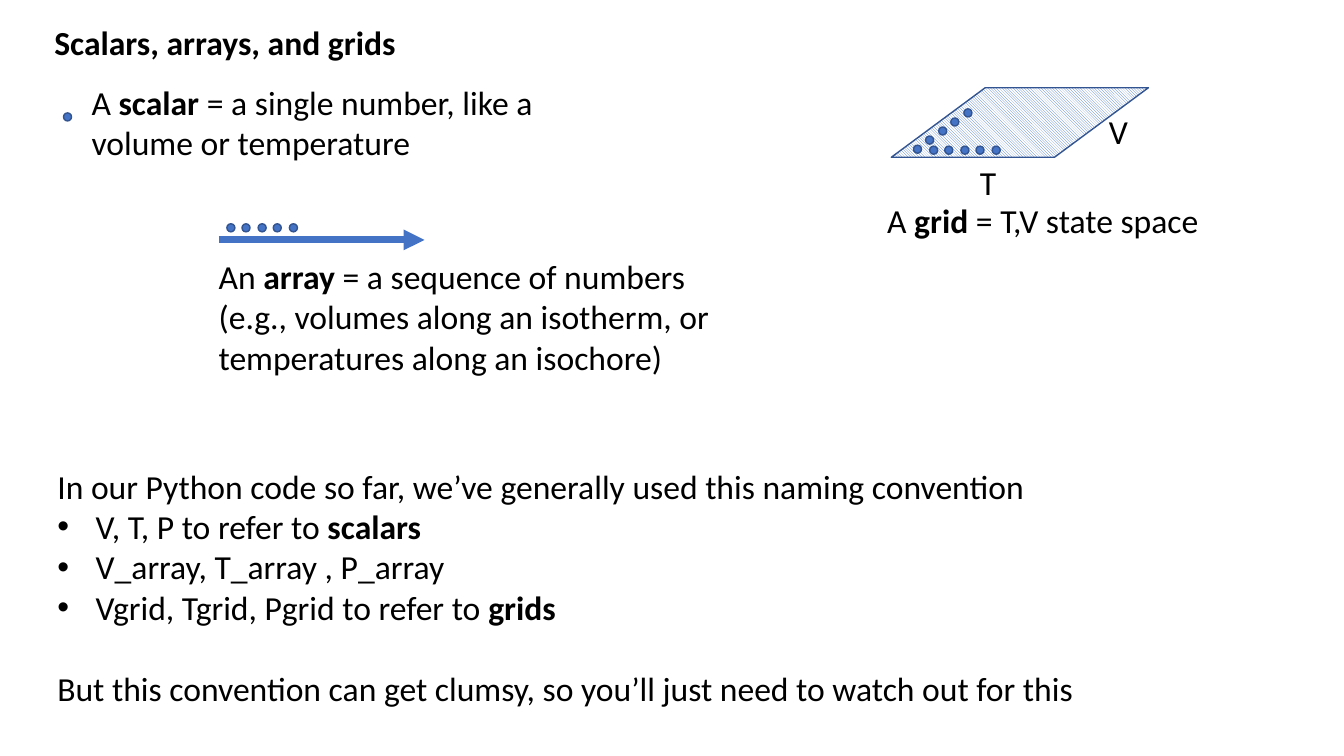
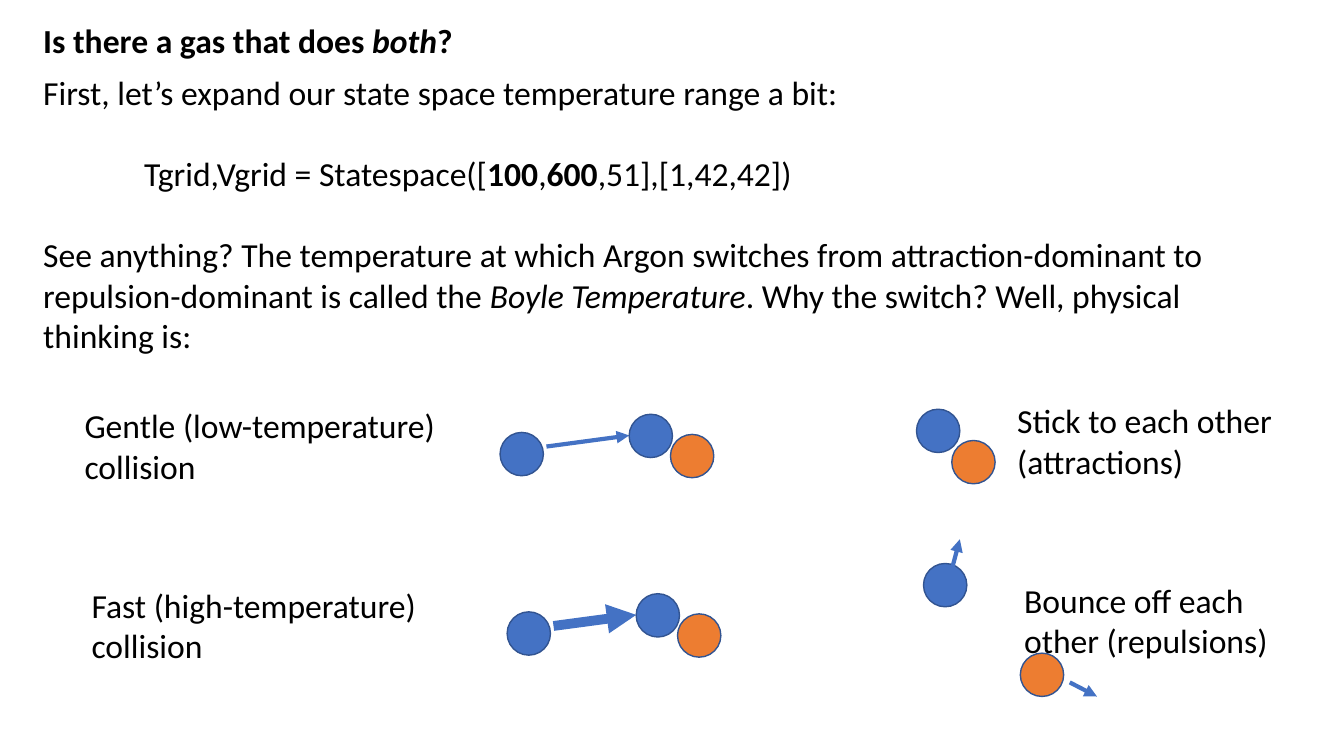
from lxml.etree import SubElement as Sub
from pptx import Presentation
from pptx.dml.color import RGBColor as Rgb
from pptx.enum.dml import MSO_PATTERN as Pat
from pptx.enum.shapes import MSO_CONNECTOR as Con, MSO_SHAPE as Kind
from pptx.enum.text import MSO_AUTO_SIZE as Fit, PP_ALIGN as Align
from pptx.oxml.ns import qn
from pptx.util import Pt

BLUE, ORANGE, EDGE, INK, WHITE = "4472C4", "ED7D31", "325491", "000000", "FFFFFF"
FONT, SIZE, LINE = "Calibri", 24, 29.3


def px(n):
    return n * 9144


def tint(code):
    return Rgb.from_string(code)


def put(frame, *runs, bold=False, bullet=False, left=0, gap=0):
    para = frame.paragraphs[0]
    if para.runs:
        para = frame.add_paragraph()
    para.alignment = Align.LEFT
    if gap:
        para.space_before = Pt(gap)
    props = para._p.get_or_add_pPr()
    if left:
        props.set("marL", str(px(left)))
    if bullet:
        props.set("indent", str(-px(left)))
        Sub(props, qn("a:buFont")).set("typeface", "Arial")
        Sub(props, qn("a:buChar")).set("char", "•")
    for item in runs:
        words, style = (item, "") if isinstance(item, str) else item
        run = para.add_run()
        run.text = words
        font = run.font
        font.name, font.size = FONT, Pt(SIZE)
        font.color.rgb = tint(INK)
        font.bold = bold or style == "bold"
        font.italic = style == "italic"


class Deck:
    def __init__(self):
        self.file = Presentation()
        self.file.slide_width, self.file.slide_height = px(1333), px(750)

    def page(self, x, y, *title):
        self.slide = self.file.slides.add_slide(self.file.slide_layouts[6])
        self.text(x, y, 885, 50, *title, bold=True)

    def text(self, x, y, w, h, *runs, **style):
        box = self.slide.shapes.add_textbox(px(x), px(y), px(w), px(h))
        frame = box.text_frame
        frame.word_wrap = True
        frame.auto_size = Fit.SHAPE_TO_FIT_TEXT
        put(frame, *runs, **style)
        return frame

    def shape(self, kind, x, y, w, h, fill=BLUE):
        item = self.slide.shapes.add_shape(kind, px(x), px(y), px(w), px(h))
        item.shadow.inherit = False
        item.fill.solid()
        item.fill.fore_color.rgb = tint(fill)
        item.line.color.rgb = tint(EDGE)
        item.line.width = Pt(1)
        return item

    def ball(self, x, y, fill=BLUE, size=43):
        self.shape(Kind.OVAL, x, y, size, size, fill)

    def dots(self, x, y, right, down, count=5):
        for i in range(count):
            self.ball(x + right * i // 4, y + down * i // 4, size=8)

    def grid(self, x, y, w, h):
        plane = self.shape(Kind.PARALLELOGRAM, x, y, w, h)
        plane.adjustments[0] = 1.35
        plane.fill.patterned()
        plane.fill.pattern = Pat.LIGHT_DOWNWARD_DIAGONAL
        plane.fill.fore_color.rgb = tint(BLUE)
        plane.fill.back_color.rgb = tint(WHITE)

    def arrow(self, x, y, right, down, width=3):
        line = self.slide.shapes.add_connector(
            Con.STRAIGHT, px(x), px(y), px(x + right), px(y + down))
        line.line.color.rgb = tint(BLUE)
        line.line.width = Pt(width)
        Sub(line.line._get_or_add_ln(), qn("a:tailEnd")).set("type", "triangle")
        Sub(line._element.spPr, qn("a:effectLst"))


def arrays(deck):
    deck.page(44, 17, "Scalars, arrays, and grids")
    names = deck.text(
        47, 457, 1165, 252,
        "In our Python code so far, we’ve generally used this naming convention")
    for runs in (
        ["V, T, P to refer to ", ("scalars", "bold")],
        ["V_array, T_array , P_array"],
        ["Vgrid, Tgrid, Pgrid to refer to ", ("grids", "bold")],
    ):
        put(names, *runs, bullet=True, left=38)
    put(names, "But this convention can get clumsy, so you’ll just need to watch out for this",
        gap=LINE)

    deck.text(81, 76, 490, 91, "A ", ("scalar", "bold"),
              " = a single number, like a volume or temperature")
    deck.dots(63, 112, 0, 0, count=1)

    deck.arrow(217, 238, 204, 0, width=5)
    deck.text(207, 249, 552, 131, "An ", ("array", "bold"),
              " = a sequence of numbers (e.g., volumes along an isotherm,"
              " or temperatures along an isochore)")
    deck.dots(225, 222, 62, 0)

    deck.grid(884, 87, 255, 69)
    deck.text(962, 156, 99, 50, "T")
    deck.text(1090, 105, 99, 50, "V")
    deck.text(870, 193, 382, 50, "A ", ("grid", "bold"), " = T,V state space")
    deck.dots(906, 144, 50, -36)
    deck.dots(922, 145, 62, 0)


def gas(deck):
    deck.page(33, 15, "Is there a gas that does ", ("both", "italic"), "?")
    body = deck.text(33, 66, 1171, 293,
                     "First, let’s expand our state space temperature range a bit:")
    put(body, "Tgrid,Vgrid = Statespace([", ("100", "bold"), ",", ("600", "bold"),
        ",51],[1,42,42])", left=100, gap=LINE)
    put(body, "See anything? The temperature at which Argon switches from"
        " attraction-dominant to repulsion-dominant is called the ",
        ("Boyle Temperature", "italic"),
        ". Why the switch? Well, physical thinking is:", gap=LINE)

    for x, y, width, cause, effect in (
        (74, 397, 3, "Gentle (low-temperature) collision",
         "Stick to each other (attractions)"),
        (81, 575, 7, "Fast (high-temperature) collision",
         "Bounce off each other (repulsions)"),
    ):
        deck.text(x, y, 389, 91, cause)
        deck.text(x + 925, y - 5, 287, 91, effect)
        deck.ball(x + 422, y + 32)
        deck.ball(x + 591, y + 34, ORANGE)
        deck.arrow(x + 468, y + 46, 82, -11, width)
        deck.ball(x + 550, y + 14)

    deck.ball(909, 406)
    deck.ball(944, 437, ORANGE)
    deck.ball(916, 559)
    deck.ball(1012, 648, ORANGE)
    deck.arrow(944, 565, 8, -30)
    deck.arrow(1061, 677, 27, 14)


def main():
    deck = Deck()
    arrays(deck)
    gas(deck)
    deck.file.save("out.pptx")


if __name__ == "__main__":
    main()
